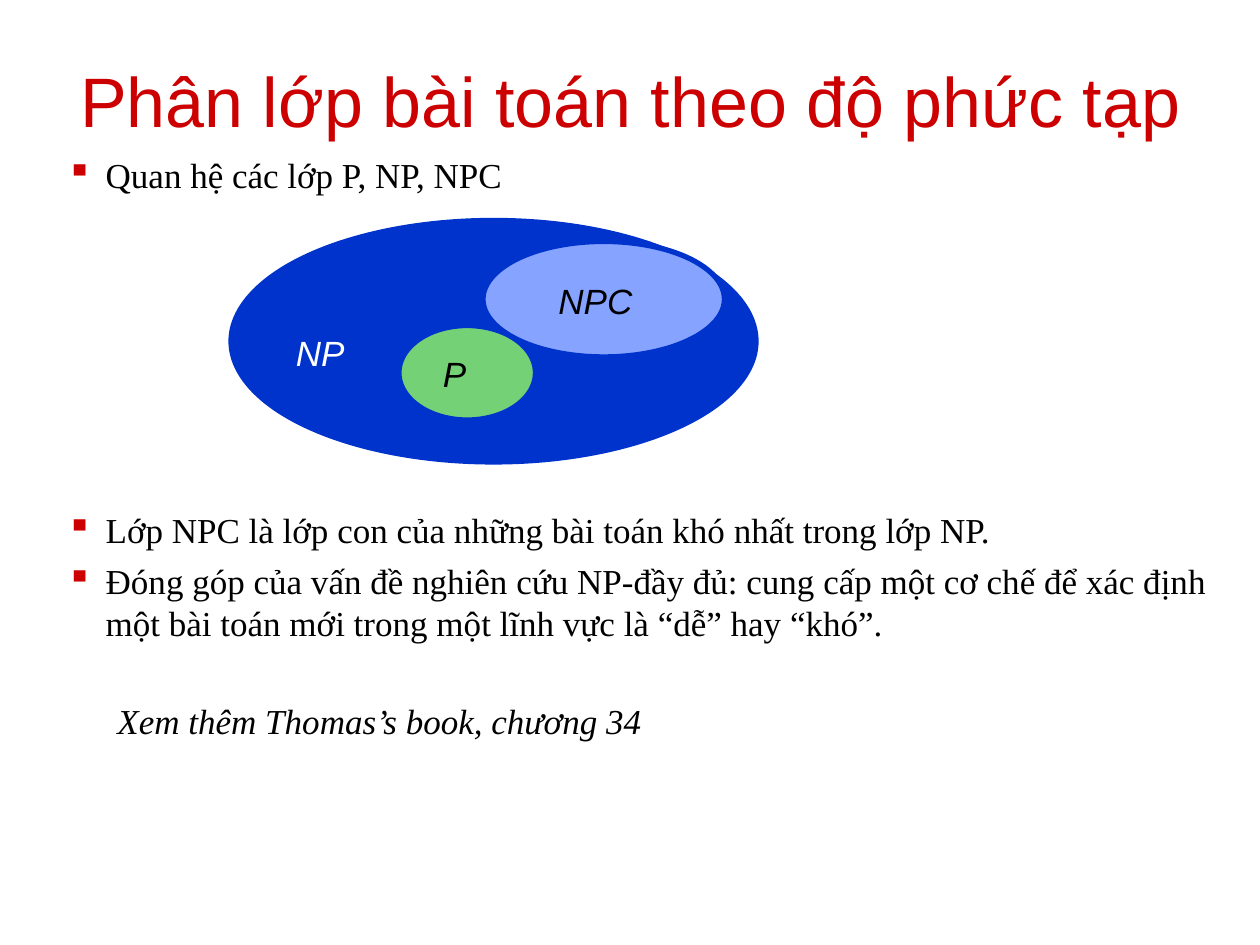
from dataclasses import dataclass

import pptx
import pptx.dml.color
import pptx.enum.shapes
import pptx.enum.text
import pptx.oxml
import pptx.oxml.ns
import pptx.util
from lxml import etree


@dataclass(frozen=True)
class Theme:
    heading_font: str = "Arial"
    body_font: str = "Times New Roman"
    title_size: int = 40
    text_size: int = 20
    outline: int = 3
    accent: str = "CC0000"
    black: str = "000000"
    white: str = "FFFFFF"
    np_blue: str = "0033CC"
    p_green: str = "75D175"
    npc_blue: str = "85A3FF"


THEME = Theme()
UNIT = pptx.util.Inches(1) / 12  # grid of 120 columns by 90 rows
LABEL_ROWS = 5.3
TITLE = "Phân lớp bài toán theo độ phức tạp"

# Text and space before it, in points; the large gap holds the diagram
BULLETS = [
    ("Quan hệ các lớp P, NP, NPC", 0),
    ("Lớp NPC là lớp con của những bài toán khó nhất trong lớp NP.", 179),
    ("Đóng góp của vấn đề nghiên cứu NP-đầy đủ: cung cấp một cơ chế để xác định "
     "một bài toán mới trong một lĩnh vực là “dễ” hay “khó”.", 5),
]
# Name, ellipse cell, fill, label column, row and width, label colour
CLASSES = [
    ("NP", (22, 21, 50, 23), THEME.np_blue, (27, 31, 8), THEME.white),
    ("P", (38, 31, 13, 9), THEME.p_green, (41, 33, 7), THEME.black),
    ("NPC", (46, 23, 23, 11), THEME.npc_blue, (52, 26, 12), THEME.black),
]


def grid(*cells):
    return [pptx.util.Emu(round(cell * UNIT)) for cell in cells]


def rgb(value):
    return pptx.dml.color.RGBColor.from_string(value)


def write(paragraph, text, font=THEME.body_font, size=THEME.text_size,
          color=THEME.black, italic=False, align=None, before=0):
    """Put formatted text into a paragraph."""
    run = paragraph.add_run()
    run.text = text
    run.font.name = font
    run.font.size = pptx.util.Pt(size)
    run.font.color.rgb = rgb(color)
    run.font.italic = italic
    paragraph.alignment = align
    paragraph.space_before = pptx.util.Pt(before)


def add_text_box(shapes, *cells):
    frame = shapes.add_textbox(*grid(*cells)).text_frame
    frame.word_wrap = True
    return frame


def add_bullet(paragraph):
    properties = paragraph._p.get_or_add_pPr()
    properties.set("marL", str(pptx.util.Inches(0.74)))
    properties.set("indent", str(pptx.util.Inches(-0.31)))
    color = etree.SubElement(properties, pptx.oxml.ns.qn("a:buClr"))
    etree.SubElement(color, pptx.oxml.ns.qn("a:srgbClr"), val=THEME.accent)
    etree.SubElement(properties, pptx.oxml.ns.qn("a:buChar"), char="▪")


def add_title(slide):
    title = slide.shapes.title
    title.left, title.top, title.width, title.height = grid(0, 3, 120, 13)
    frame = title.text_frame
    frame.word_wrap = True
    frame.vertical_anchor = pptx.enum.text.MSO_ANCHOR.MIDDLE
    write(frame.paragraphs[0], TITLE, font=THEME.heading_font, size=THEME.title_size,
          color=THEME.accent, align=pptx.enum.text.PP_ALIGN.CENTER)


def add_body(slide):
    frame = add_text_box(slide.shapes, 0, 14, 116.3, 72)
    for index, (text, before) in enumerate(BULLETS):
        paragraph = frame.add_paragraph() if index else frame.paragraphs[0]
        write(paragraph, text, before=before)
        add_bullet(paragraph)


def add_ellipse(shapes, cells, fill):
    ellipse = shapes.add_shape(pptx.enum.shapes.MSO_SHAPE.OVAL, *grid(*cells))
    ellipse.shadow.inherit = False
    ellipse.fill.solid()
    ellipse.fill.fore_color.rgb = rgb(fill)
    ellipse.line.color.rgb = rgb(THEME.np_blue)
    ellipse.line.width = pptx.util.Pt(THEME.outline)


def add_diagram(slide):
    shapes = slide.shapes.add_group_shape().shapes
    for name, cells, fill, label, color in CLASSES:
        add_ellipse(shapes, cells, fill)
        frame = add_text_box(shapes, *label, LABEL_ROWS)
        write(frame.paragraphs[0], name, font=THEME.heading_font, color=color, italic=True)


def add_reference(slide):
    frame = add_text_box(slide.shapes, 10, 66, 58, LABEL_ROWS)
    write(frame.paragraphs[0], "Xem thêm Thomas’s book, chương 34", italic=True)


def main():
    presentation = pptx.Presentation()
    presentation.slide_width, presentation.slide_height = grid(120, 90)
    title_only = presentation.slide_layouts[5]
    slide = presentation.slides.add_slide(title_only)
    add_title(slide)
    add_body(slide)
    add_diagram(slide)
    add_reference(slide)
    presentation.save("out.pptx")


if __name__ == "__main__":
    main()
